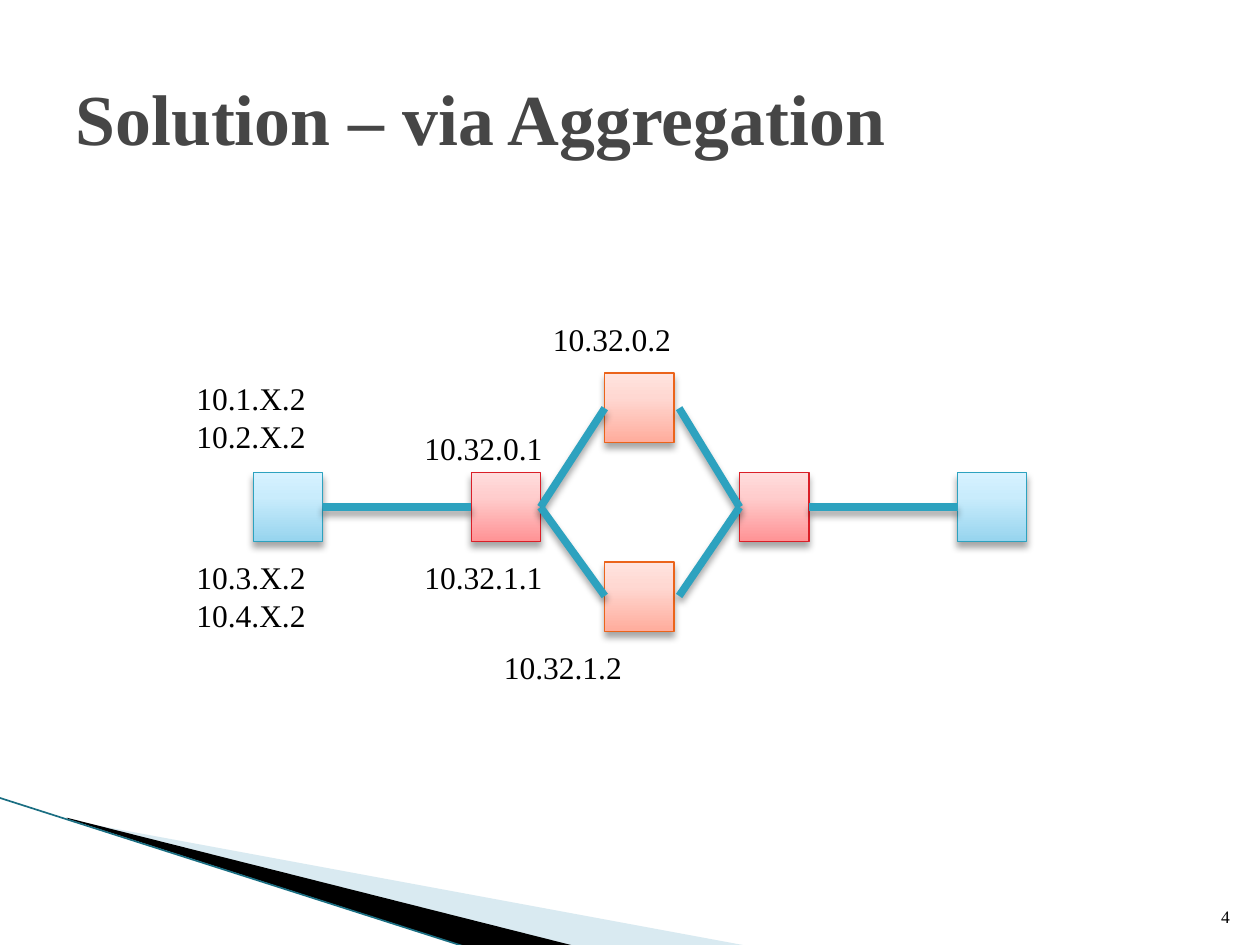
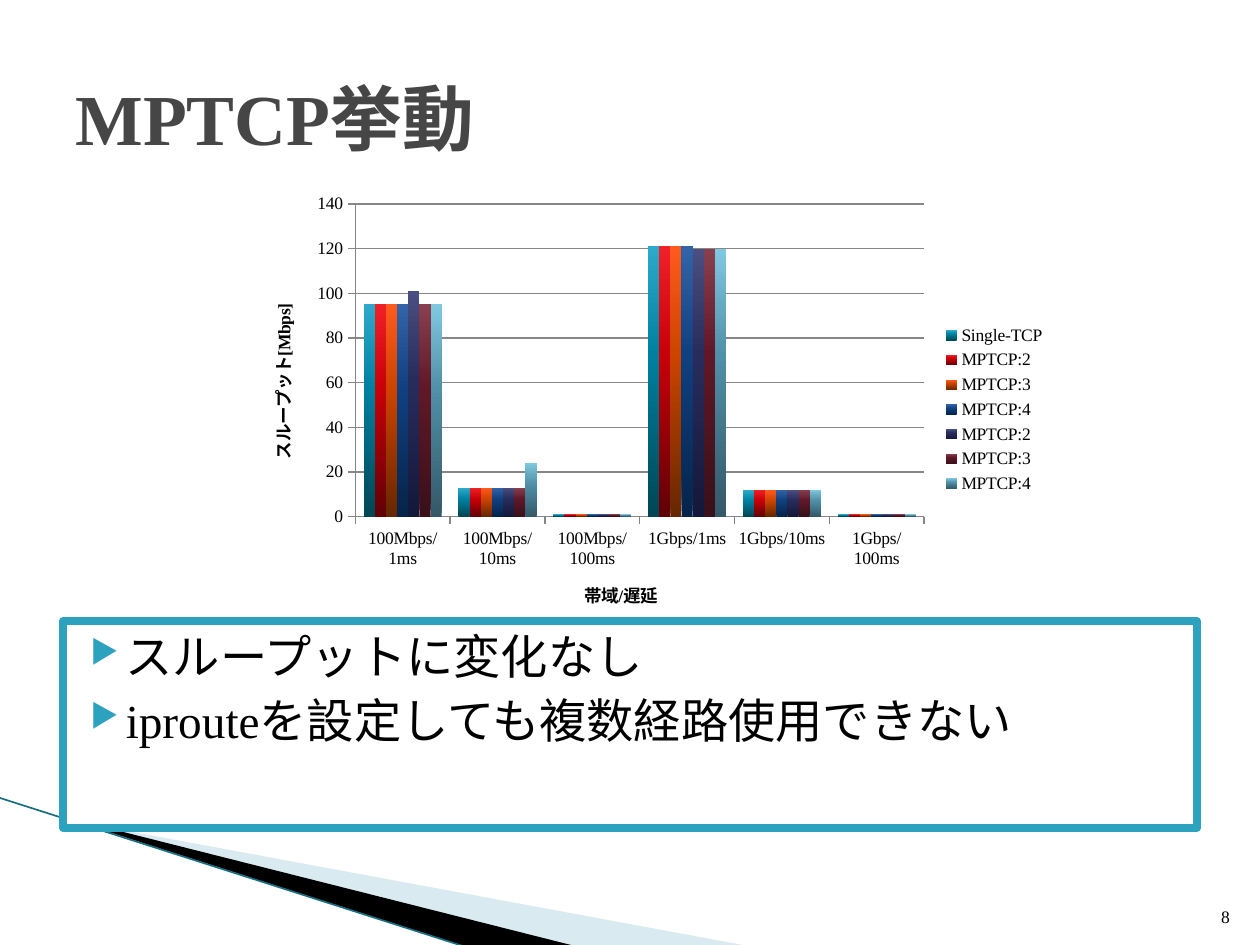
from copy import deepcopy

from lxml import etree
from pptx import Presentation
from pptx.chart.data import CategoryChartData
from pptx.dml.color import RGBColor
from pptx.enum.chart import XL_CHART_TYPE, XL_LEGEND_POSITION, XL_TICK_MARK
from pptx.enum.shapes import MSO_CONNECTOR, MSO_SHAPE
from pptx.enum.text import MSO_ANCHOR, MSO_AUTO_SIZE, PP_ALIGN
from pptx.oxml.ns import qn
from pptx.util import Emu, Inches, Pt

LEFT, RIGHT = PP_ALIGN.LEFT, PP_ALIGN.RIGHT
TOP, MIDDLE, BOTTOM = MSO_ANCHOR.TOP, MSO_ANCHOR.MIDDLE, MSO_ANCHOR.BOTTOM
NO_FIT, GROW = MSO_AUTO_SIZE.NONE, MSO_AUTO_SIZE.SHAPE_TO_FIT_TEXT
RECTANGLE = MSO_SHAPE.RECTANGLE
STRAIGHT = MSO_CONNECTOR.STRAIGHT
CLUSTERED = XL_CHART_TYPE.COLUMN_CLUSTERED
LEGEND_RIGHT = XL_LEGEND_POSITION.RIGHT
TICK_OUTSIDE = XL_TICK_MARK.OUTSIDE
TITLE_ONLY = 5
COLUMNS, ROWS = 100, 75
FONT = "Times New Roman"
COLORS = {
    "text": "000000",
    "title": "464646",
    "paper": "FFFFFF",
    "accent": "2DA2BF",
    "swoosh": "A0CBDC",
    "swoosh edge": "1A6E82",
    "axis": "868686",
}
NODE_STYLES = {
    "host": ("2DA2BF", [(0, "96D4EE"), (0.65, "C9ECFC"), (1, "D7F2FF")]),
    "gateway": ("DA1F28", [(0, "FF9294"), (0.65, "FFCDCD"), (1, "FFDCDC")]),
    "router": ("EB641B", [(0, "FFAC9C"), (0.65, "FFD8D2"), (1, "FFE4DF")]),
}
NODE_SIZE = 5.5
THIN, THICK = 0.75, 4.33
SERIES = [
    ("Single-TCP", [95, 13, 1, 121, 12, 1], ("004655", "0080A0", "2DAACB")),
    ("MPTCP:2", [95, 13, 1, 121, 12, 1], ("600006", "C80008", "F02028")),
    ("MPTCP:3", [95, 13, 1, 121, 12, 1], ("662700", "CC4400", "FF5A1E")),
    ("MPTCP:4", [95, 13, 1, 121, 12, 1], ("06244A", "104080", "3464A8")),
    ("MPTCP:2", [101, 13, 1, 120, 12, 1], ("14183A", "282C5C", "4A4E80")),
    ("MPTCP:3", [95, 13, 1, 120, 12, 1], ("38101A", "601828", "884050")),
    ("MPTCP:4", [95, 24, 1, 120, 12, 1], ("345868", "5090A8", "80C8E0")),
]
CATEGORIES = [f"{rate}/{delay}" for rate in ("100Mbps", "1Gbps")
              for delay in ("1ms", "10ms", "100ms")]


def rgb(color):
    return RGBColor.from_string(COLORS.get(color, color))


def add_child(parent, tag, **attributes):
    return etree.SubElement(parent, qn(tag), attributes)


def add_bullet(paragraph):
    properties = paragraph._p.get_or_add_pPr()
    properties.set("marL", str(Inches(0.4)))
    properties.set("indent", str(-Inches(0.28)))
    add_child(add_child(properties, "a:buClr"), "a:srgbClr", val=COLORS["accent"])
    add_child(properties, "a:buSzPct", val="68000")
    add_child(properties, "a:buChar", char="▶")


def write_text(frame, text, *, size=18, color="text", bold=False, align=LEFT,
               anchor=TOP, wrap=True, fit=NO_FIT, bullet=False, gap=0):
    frame.word_wrap = wrap
    frame.auto_size = fit
    frame.vertical_anchor = anchor
    for index, line in enumerate(text.split("\n")):
        paragraph = frame.add_paragraph() if index else frame.paragraphs[0]
        if bullet:
            add_bullet(paragraph)
        paragraph.alignment = align
        if index:
            paragraph.space_before = Pt(gap)
        run = paragraph.add_run()
        run.text = line
        run.font.name = FONT
        run.font.size = Pt(size)
        run.font.bold = bold
        run.font.color.rgb = rgb(color)


def fill_gradient(fill, element, stops):
    fill.gradient()
    fill.gradient_angle = 90
    stop_list = next(element.iter(qn("a:gsLst")))
    while len(stop_list) < len(stops):
        stop_list.append(deepcopy(stop_list[-1]))
    for stop, (position, color) in zip(fill.gradient_stops, stops):
        stop.position = position
        stop.color.rgb = rgb(color)


def set_line(line, color, width):
    line.color.rgb = rgb(color)
    line.width = Pt(width)


def set_shadow(shape, visible):
    effects = add_child(shape._element.spPr, "a:effectLst")
    if visible:
        shadow = add_child(effects, "a:outerShdw", blurRad=str(Pt(4)), dist=str(Pt(3)),
                           dir="5400000", rotWithShape="0")
        shade = add_child(shadow, "a:srgbClr", val=COLORS["text"])
        add_child(shade, "a:alpha", val="35000")


class Deck:
    def __init__(self):
        self.presentation = Presentation()
        self.presentation.slide_width = Inches(10)
        self.presentation.slide_height = Inches(7.5)
        self.slide = None

    def across(self, columns):
        return Emu(round(self.presentation.slide_width * columns / COLUMNS))

    def down(self, rows):
        return Emu(round(self.presentation.slide_height * rows / ROWS))

    def area(self, left, top, width, height):
        return self.across(left), self.down(top), self.across(width), self.down(height)

    def start(self, title, number):
        layout = self.presentation.slide_layouts[TITLE_ONLY]
        self.slide = self.presentation.slides.add_slide(layout)
        self.polygon([(5.5, 65.1), (59.5, 75.1), (45.6, 75.1), (5.5, 65)], "swoosh", 40)
        self.polygon([(5.3, 64.9), (45.7, 75.1), (37.2, 75.2), (5.4, 65)], "text")
        self.line((-0.1, 63.3), (37.1, 75.2), "swoosh edge", 0.95)
        self.text((94.6, 70.1, 4, 4), str(number), size=10, align=RIGHT, anchor=BOTTOM)
        placeholder = self.slide.shapes.title
        (placeholder.left, placeholder.top,
         placeholder.width, placeholder.height) = self.area(5, 3, 90, 12.5)
        write_text(placeholder.text_frame, title, size=41, color="title", bold=True,
                   anchor=MIDDLE)

    def polygon(self, points, color, opacity=100):
        corners = [(self.across(x), self.down(y)) for x, y in points]
        builder = self.slide.shapes.build_freeform(*corners[0])
        builder.add_line_segments(corners[1:])
        shape = builder.convert_to_shape()
        shape.fill.solid()
        shape.fill.fore_color.rgb = rgb(color)
        color_element = next(shape._element.spPr.iter(qn("a:srgbClr")))
        add_child(color_element, "a:alpha", val=str(opacity * 1000))
        shape.line.fill.background()
        set_shadow(shape, False)

    def line(self, start, end, color="accent", width=THICK, shadow=False):
        connector = self.slide.shapes.add_connector(
            STRAIGHT, self.across(start[0]), self.down(start[1]),
            self.across(end[0]), self.down(end[1]))
        set_line(connector.line, color, width)
        set_shadow(connector, shadow)

    def text(self, place, text, **text_format):
        box = self.slide.shapes.add_textbox(*self.area(*place))
        write_text(box.text_frame, text, **text_format)

    def node(self, left, top, style):
        outline, stops = NODE_STYLES[style]
        shape = self.slide.shapes.add_shape(
            RECTANGLE, *self.area(left, top, NODE_SIZE, NODE_SIZE))
        fill_gradient(shape.fill, shape._element.spPr, stops)
        set_line(shape.line, outline, THIN)
        set_shadow(shape, True)

    def panel(self, place, text, **text_format):
        shape = self.slide.shapes.add_shape(RECTANGLE, *self.area(*place))
        shape.fill.solid()
        shape.fill.fore_color.rgb = rgb("paper")
        set_line(shape.line, "accent", THICK)
        add_child(shape._element.spPr.find(qn("a:ln")), "a:round")
        set_shadow(shape, False)
        write_text(shape.text_frame, text, **text_format)

    def column_chart(self, place, categories, series_rows, category_title, value_title):
        data = CategoryChartData()
        data.categories = categories
        for name, values, _ in series_rows:
            data.add_series(name, values)
        chart = self.slide.shapes.add_chart(CLUSTERED, *self.area(*place), data).chart
        chart.font.name = FONT
        chart.font.size = Pt(10)
        chart.font.color.rgb = rgb("text")
        chart.has_title = False
        chart.has_legend = True
        chart.legend.position = LEGEND_RIGHT
        chart.legend.include_in_layout = False
        plot = chart.plots[0]
        plot.gap_width = 150
        plot.overlap = 0
        plot.vary_by_categories = False
        for series, (_, _, shades) in zip(plot.series, series_rows):
            fill_gradient(series.format.fill, series._element,
                          list(zip((0, 0.6, 1), shades)))
        for axis, title in ((chart.category_axis, category_title),
                            (chart.value_axis, value_title)):
            axis.major_tick_mark = TICK_OUTSIDE
            set_line(axis.format.line, "axis", THIN)
            write_text(axis.axis_title.text_frame, title, size=10, bold=True)
        chart.value_axis.minimum_scale = 0
        chart.value_axis.maximum_scale = 140
        chart.value_axis.major_unit = 20
        set_line(chart.value_axis.major_gridlines.format.line, "axis", THIN)


def build_aggregation(deck):
    deck.start("Solution – via Aggregation", 4)
    middle_top, upper_top, lower_top = 37.5, 29.6, 44.6
    center = middle_top + NODE_SIZE / 2
    hosts, gateways, router = (20.1, 76), (37.4, 58.7), 48
    for left in hosts:
        deck.node(left, middle_top, "host")
    for left in gateways:
        deck.node(left, middle_top, "gateway")
    for top in (upper_top, lower_top):
        deck.node(router, top, "router")
    fork = gateways[0] + NODE_SIZE
    deck.line((hosts[0] + NODE_SIZE, center), (gateways[0], center), shadow=True)
    deck.line((gateways[1] + NODE_SIZE, center), (hosts[1], center), shadow=True)
    for height in (32.4, 47.3):
        deck.line((fork, center), (router, height), shadow=True)
        deck.line((53.9, height), (gateways[1], center), shadow=True)
    for left, top, address in ((32.7, 43.8, "10.32.1.1"), (39, 50.9, "10.32.1.2"),
                               (32.7, 33.6, "10.32.0.1"), (42.9, 24.9, "10.32.0.2")):
        deck.text((left, top, 11.5, 4), address, wrap=False, fit=GROW)
    for top, addresses in ((29.6, "10.1.X.2\n10.2.X.2"), (43.8, "10.3.X.2\n10.4.X.2")):
        deck.text((14.6, top, 10.8, 7.1), addresses, wrap=False, fit=GROW)


def build_behavior(deck):
    deck.start("MPTCP挙動", 8)
    deck.panel((5, 49.3, 90, 16.4),
               "スループットに変化なし\niprouteを設定しても複数経路使用できない",
               size=27, bullet=True, gap=4)
    deck.column_chart((19.3, 14.7, 64.7, 35.6), CATEGORIES, SERIES,
                      "帯域/遅延", "スループット[Mbps]")


def main():
    deck = Deck()
    build_aggregation(deck)
    build_behavior(deck)
    deck.presentation.save("out.pptx")


if __name__ == "__main__":
    main()
